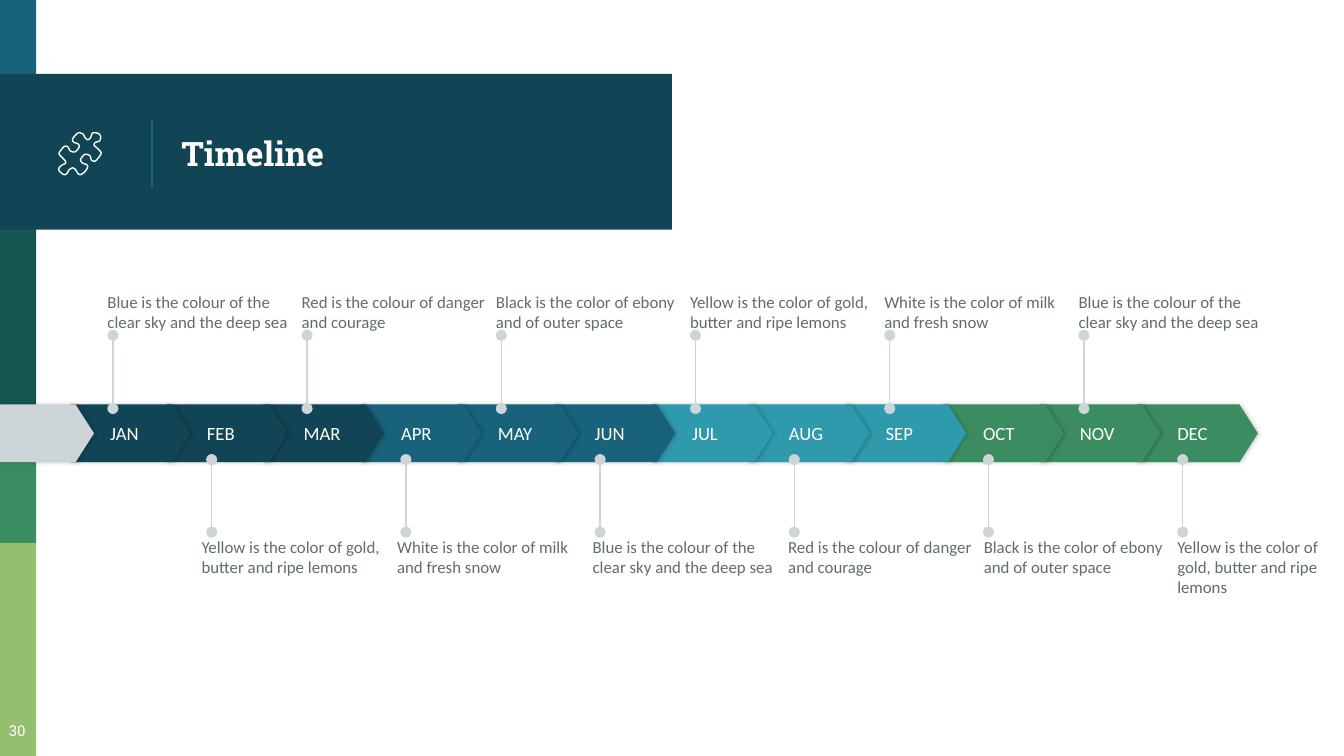
import lxml.etree
import pptx
import pptx.dml.color
import pptx.enum.shapes
import pptx.enum.text
import pptx.oxml.ns
import pptx.util

EMU_PER_PX = 4572  # 200 px to the inch
NAVY, BLUE, TEAL, GREEN = "114454", "18637B", "309AAD", "3B8D61"
WHITE, SILVER, GREY = "FFFFFF", "CED5D8", "5F6C70"
BODY_FONT, HEAD_FONT = "Calibri", "Roboto Slab"
ANCHOR = pptx.enum.text.MSO_ANCHOR
ALIGN = pptx.enum.text.PP_ALIGN
SHAPE = pptx.enum.shapes.MSO_SHAPE

SIDEBAR = [(0, 116, BLUE), (340, 336, "165751"), (676, 132, GREEN), (808, 317, "94BF6E")]
MONTHS = ["JAN", "FEB", "MAR", "APR", "MAY", "JUN",
          "JUL", "AUG", "SEP", "OCT", "NOV", "DEC"]
QUARTER_COLORS = [NAVY, BLUE, TEAL, GREEN]
SKY = "Blue is the colour of the clear sky and the deep sea"
DANGER = "Red is the colour of danger and courage"
EBONY = "Black is the color of ebony and of outer space"
GOLD = "Yellow is the color of gold, butter and ripe lemons"
MILK = "White is the color of milk and fresh snow"
UPPER_NOTES = [SKY, DANGER, EBONY, GOLD, MILK, SKY]
LOWER_NOTES = [GOLD, MILK, SKY, DANGER, EBONY, GOLD]

# Outline of the puzzle piece on a grid of 31 by 31 units of 2 px
PUZZLE = [
    (27, 7), (30, 6), (31, 3), (30, 1), (28, 0), (25, 0), (24, 2), (23, 4), (21, 5),
    (19, 3), (18, 1), (16, 0), (14, 0), (11, 3), (10, 5), (11, 7), (14, 8), (15, 10),
    (14, 12), (12, 14), (10, 14), (8, 13), (7, 11), (6, 10), (4, 10), (2, 12), (0, 15),
    (1, 17), (4, 20), (5, 22), (4, 23), (2, 24), (0, 26), (0, 28), (2, 30), (4, 31),
    (6, 30), (7, 28), (8, 27), (10, 26), (12, 27), (14, 30), (16, 31), (19, 29),
    (21, 26), (21, 24), (19, 23), (17, 22), (16, 20), (17, 18), (19, 16), (21, 16),
    (23, 17), (24, 20), (26, 21), (28, 20), (31, 16), (31, 14), (28, 11), (26, 9),
]


def px(length):
    return pptx.util.Emu(round(length * EMU_PER_PX))


def rgb(color):
    return pptx.dml.color.RGBColor.from_string(color)


def add_xml(parent, tag, **attributes):
    return lxml.etree.SubElement(parent, pptx.oxml.ns.qn(tag), attributes)


def smooth_outline(points, steps=3):
    """Return a closed Catmull-Rom curve through the points."""
    curve = []
    count = len(points)
    for index in range(count):
        corners = [points[(index + offset) % count] for offset in (-1, 0, 1, 2)]
        for step in range(steps):
            t = step / steps
            curve.append(tuple(
                b + t * (c - a) / 2 + t * t * (2 * a - 5 * b + 4 * c - d) / 2
                + t ** 3 * (3 * b - a - 3 * c + d) / 2
                for a, b, c, d in zip(*corners)))
    return curve


class SlideBuilder:
    def __init__(self, slide):
        self.slide = slide
        self.shapes = slide.shapes

    def set_text(self, shape, text, size, color, font=BODY_FONT, bold=False,
                 align=ALIGN.LEFT, anchor=ANCHOR.TOP, insets=(0, 0, 0, 0)):
        frame = shape.text_frame
        frame.text = text
        frame.word_wrap = True
        frame.auto_size = pptx.enum.text.MSO_AUTO_SIZE.NONE
        frame.vertical_anchor = anchor
        (frame.margin_left, frame.margin_top,
         frame.margin_right, frame.margin_bottom) = map(px, insets)
        paragraph = frame.paragraphs[0]
        paragraph.alignment = align
        paragraph.font.name = font
        paragraph.font.size = pptx.util.Pt(size)
        paragraph.font.bold = bold
        paragraph.font.color.rgb = rgb(color)

    def title(self, text, left, top, width, height):
        title = self.shapes.title
        title.left, title.top, title.width, title.height = map(px, (left, top, width, height))
        title.element.getparent().append(title.element)  # bring to front
        self.set_text(title, text, 18, WHITE, HEAD_FONT, bold=True,
                      anchor=ANCHOR.MIDDLE, insets=(20, 20, 20, 20))

    def text(self, text, left, top, width, height, size, color, **style):
        box = self.shapes.add_textbox(px(left), px(top), px(width), px(height))
        self.set_text(box, text, size, color, **style)

    def block(self, left, top, width, height, color, kind=SHAPE.RECTANGLE):
        shape = self.shapes.add_shape(kind, px(left), px(top), px(width), px(height))
        shape.shadow.inherit = False
        shape.fill.solid()
        shape.fill.fore_color.rgb = rgb(color)
        shape.line.fill.background()
        return shape

    def arrow(self, left, width, color, label=None):
        """Add a pentagon arrow of the timeline with a soft shadow."""
        arrow = self.block(left, 602, width, 86, color, SHAPE.PENTAGON)
        arrow.adjustments[0] = 0.32
        effects = arrow.element.spPr.find(pptx.oxml.ns.qn("a:effectLst"))
        shadow = add_xml(effects, "a:outerShdw", blurRad="28000", dist="10000",
                         dir="0", algn="ctr", rotWithShape="0")
        shadow_color = add_xml(shadow, "a:srgbClr", val="000000")
        add_xml(shadow_color, "a:alpha", val="20000")
        if label:
            self.set_text(arrow, label, 10, WHITE, anchor=ANCHOR.MIDDLE, insets=(60, 0, 0, 0))

    def vertical_line(self, x, start, end, color, dotted_ends=False):
        line = self.shapes.add_connector(
            pptx.enum.shapes.MSO_CONNECTOR.STRAIGHT, px(x), px(start), px(x), px(end))
        line.line.color.rgb = rgb(color)
        line.line.width = pptx.util.Pt(0.75)
        properties = line.element.spPr
        if dotted_ends:
            for tag in ("a:headEnd", "a:tailEnd"):
                add_xml(properties.find(pptx.oxml.ns.qn("a:ln")), tag, type="oval")
        add_xml(properties, "a:effectLst")

    def outline(self, points, left, top, unit, color):
        start, *others = [(px(left + x * unit), px(top + y * unit))
                          for x, y in smooth_outline(points)]
        builder = self.shapes.build_freeform(*start)
        builder.add_line_segments(others, close=True)
        shape = builder.convert_to_shape()
        shape.shadow.inherit = False
        shape.fill.background()
        shape.line.color.rgb = rgb(color)
        shape.line.width = pptx.util.Pt(0.75)


def main():
    presentation = pptx.Presentation()
    presentation.slide_width, presentation.slide_height = px(2000), px(1125)
    builder = SlideBuilder(presentation.slides.add_slide(presentation.slide_layouts[5]))

    for top, height, color in SIDEBAR:
        builder.block(0, top, 54, height, color)
    builder.block(0, 110, 1000, 232, NAVY)
    builder.vertical_line(226, 178, 280, BLUE)
    builder.title("Timeline", 250, 116, 702, 224)
    builder.text("30", -12, 1054, 76, 70, 8, WHITE, font=HEAD_FONT,
                 align=ALIGN.CENTER, insets=(20, 20, 20, 20))

    # Later months lie behind earlier ones
    for index, month in reversed(list(enumerate(MONTHS))):
        builder.arrow(104 + index * 1588 // 11, 180, QUARTER_COLORS[index // 3], month)
    builder.arrow(0, 140, SILVER)

    for index, note in enumerate(UPPER_NOTES):
        builder.vertical_line(168 + index * 289, 608, 499, SILVER, dotted_ends=True)
        builder.text(note, 160 + index * 289, 378, 274, 116, 9, GREY, anchor=ANCHOR.BOTTOM)
    for index, note in enumerate(LOWER_NOTES):
        is_last = index == len(LOWER_NOTES) - 1
        builder.vertical_line(315 + index * 289, 792, 684, SILVER, dotted_ends=True)
        builder.text(note, 1752 if is_last else 300 + index * 291, 798,
                     226 if is_last else 274, 116, 9, GREY)

    builder.outline(PUZZLE, 88, 198, 2, WHITE)
    presentation.save("out.pptx")


if __name__ == "__main__":
    main()
